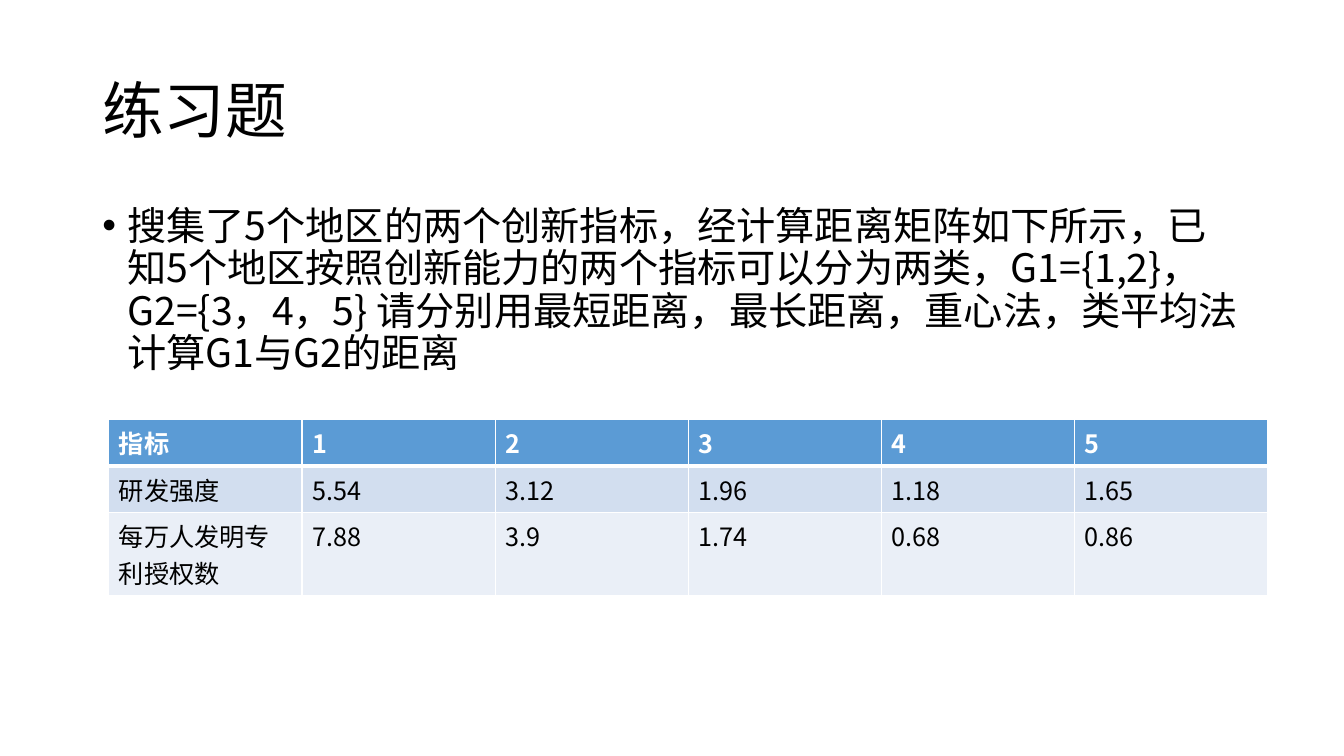
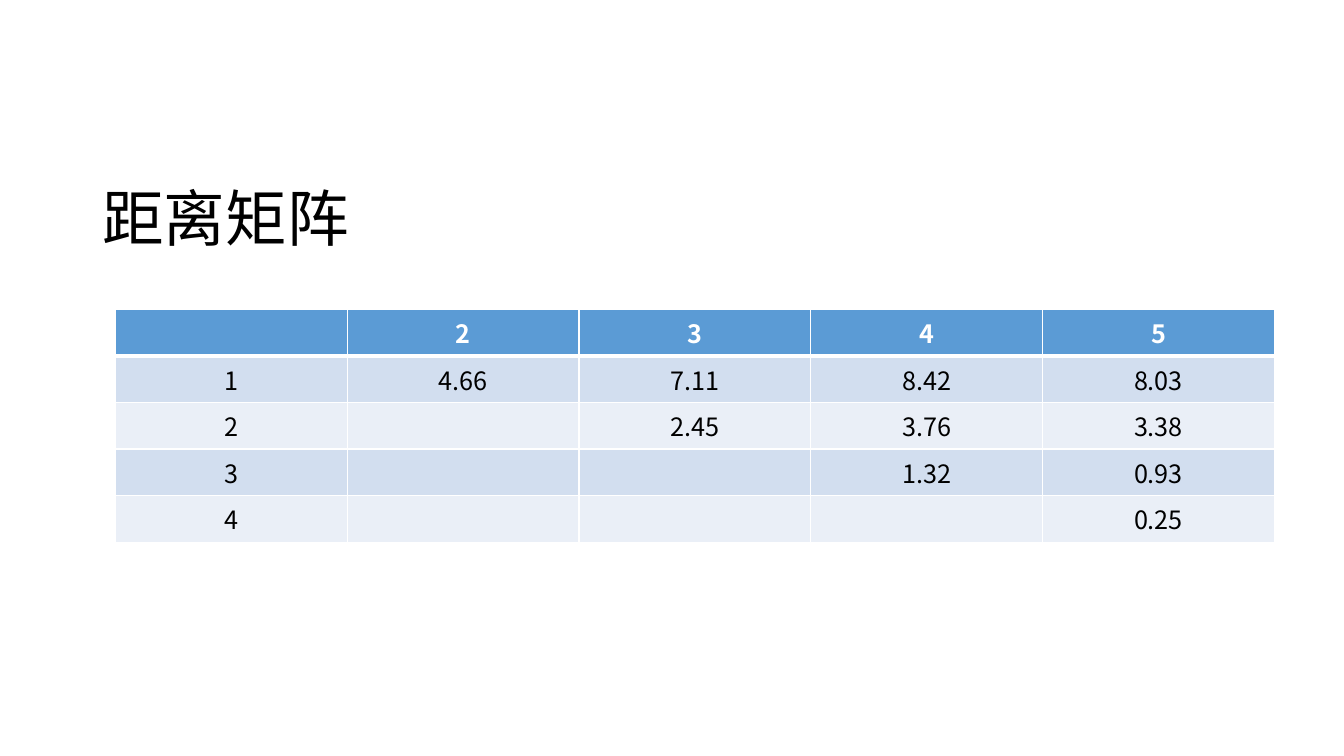
from lxml.etree import SubElement
from pptx import Presentation
from pptx.dml.color import RGBColor
from pptx.enum.text import MSO_ANCHOR, PP_ALIGN
from pptx.oxml.ns import qn
from pptx.util import Inches, Pt

# Shared style
FONT = "Noto Sans CJK SC"
BLACK, WHITE = "000000", "FFFFFF"
HEADER, BANDS = "5B9BD5", ("D2DEEF", "EAEFF7")

prs = Presentation()
prs.slide_width, prs.slide_height = Inches(13.33), Inches(7.5)

# Grid of 100 columns by 100 rows
COL, ROW = prs.slide_width / 100, prs.slide_height / 100
CONTENT_W = 86.25
MARGIN = (100 - CONTENT_W) / 2
ONE_LINE, TWO_LINES = 6.16, 11  # table row heights


def write(paragraph, text, size, color=BLACK, bold=False):
    run = paragraph.add_run()
    run.text = text
    run.font.name, run.font.size, run.font.bold = FONT, Pt(size), bold
    run.font.color.rgb = RGBColor.from_string(color)
    SubElement(run.font._element, qn("a:ea"), typeface=FONT)


def add_text_area(slide, top, height, anchor):
    box = slide.shapes.add_textbox(int(MARGIN * COL), int(top * ROW),
                                   int(CONTENT_W * COL), int(height * ROW))
    frame = box.text_frame
    frame.word_wrap = True
    frame.vertical_anchor = anchor
    frame.paragraphs[0].line_spacing = 0.9
    return frame.paragraphs[0]


pages = [
    {
        "title": "练习题", "title_top": 5.33,
        "question": ["搜集了5个地区的两个创新指标，经计算距离矩阵如下所示，"
                     "已知5个地区按照创新能力的两个指标可以分为两类，G1={1,2}，",
                     "G2={3，4，5} 请分别用最短距离，最长距离，重心法，"
                     "类平均法计算G1与G2的距离"],
        "left": 8.1, "top": 55.47, "align": PP_ALIGN.LEFT,
        "heights": [ONE_LINE, ONE_LINE, TWO_LINES],
        "rows": [["指标", "1", "2", "3", "4", "5"],
                 ["研发强度", "5.54", "3.12", "1.96", "1.18", "1.65"],
                 ["每万人发明专利授权数", "7.88", "3.9", "1.74", "0.68", "0.86"]],
    },
    {
        "title": "距离矩阵", "title_top": 19.6,
        "question": [],
        "left": 8.58, "top": 40.93, "align": PP_ALIGN.CENTER,
        "heights": [ONE_LINE] * 5,
        "rows": [["", "2", "3", "4", "5"],
                 ["1", "4.66", "7.11", "8.42", "8.03"],
                 ["2", "", "2.45", "3.76", "3.38"],
                 ["3", "", "", "1.32", "0.93"],
                 ["4", "", "", "", "0.25"]],
    },
]

for page in pages:
    slide = prs.slides.add_slide(prs.slide_layouts[6])

    # Title
    title = add_text_area(slide, page["title_top"], 19.33, MSO_ANCHOR.MIDDLE)
    write(title, page["title"], 44)

    # Bulleted question
    if page["question"]:
        question = add_text_area(slide, 26.67, 63.47, MSO_ANCHOR.TOP)
        question.space_before = Pt(10)
        bullet = question._p.get_or_add_pPr()
        bullet.set("marL", str(Inches(0.25)))
        bullet.set("indent", str(-Inches(0.25)))
        SubElement(bullet, qn("a:buFont"), typeface="Arial")
        SubElement(bullet, qn("a:buChar"), char="•")
        for number, line in enumerate(page["question"]):
            if number:
                question.add_line_break()
            write(question, line, 28)

    # Banded table
    rows, heights = page["rows"], page["heights"]
    table = slide.shapes.add_table(
        len(rows), len(rows[0]), int(page["left"] * COL), int(page["top"] * ROW),
        int(CONTENT_W * COL), int(sum(heights) * ROW)).table
    for r, values in enumerate(rows):
        table.rows[r].height = int(heights[r] * ROW)
        is_header = r == 0
        for c, value in enumerate(values):
            cell = table.cell(r, c)
            borders = cell._tc.get_or_add_tcPr()
            for side in ("lnL", "lnR", "lnT", "lnB"):
                thick = (is_header and side == "lnB") or (r == 1 and side == "lnT")
                line = SubElement(borders, qn(f"a:{side}"), w=str(Pt(3 if thick else 1)))
                SubElement(SubElement(line, qn("a:solidFill")), qn("a:srgbClr"), val=WHITE)
            cell.fill.solid()
            cell.fill.fore_color.rgb = RGBColor.from_string(
                HEADER if is_header else BANDS[(r - 1) % 2])
            paragraph = cell.text_frame.paragraphs[0]
            paragraph.alignment = page["align"]
            if value:
                write(paragraph, value, 18, WHITE if is_header else BLACK, is_header)

prs.save("out.pptx")
